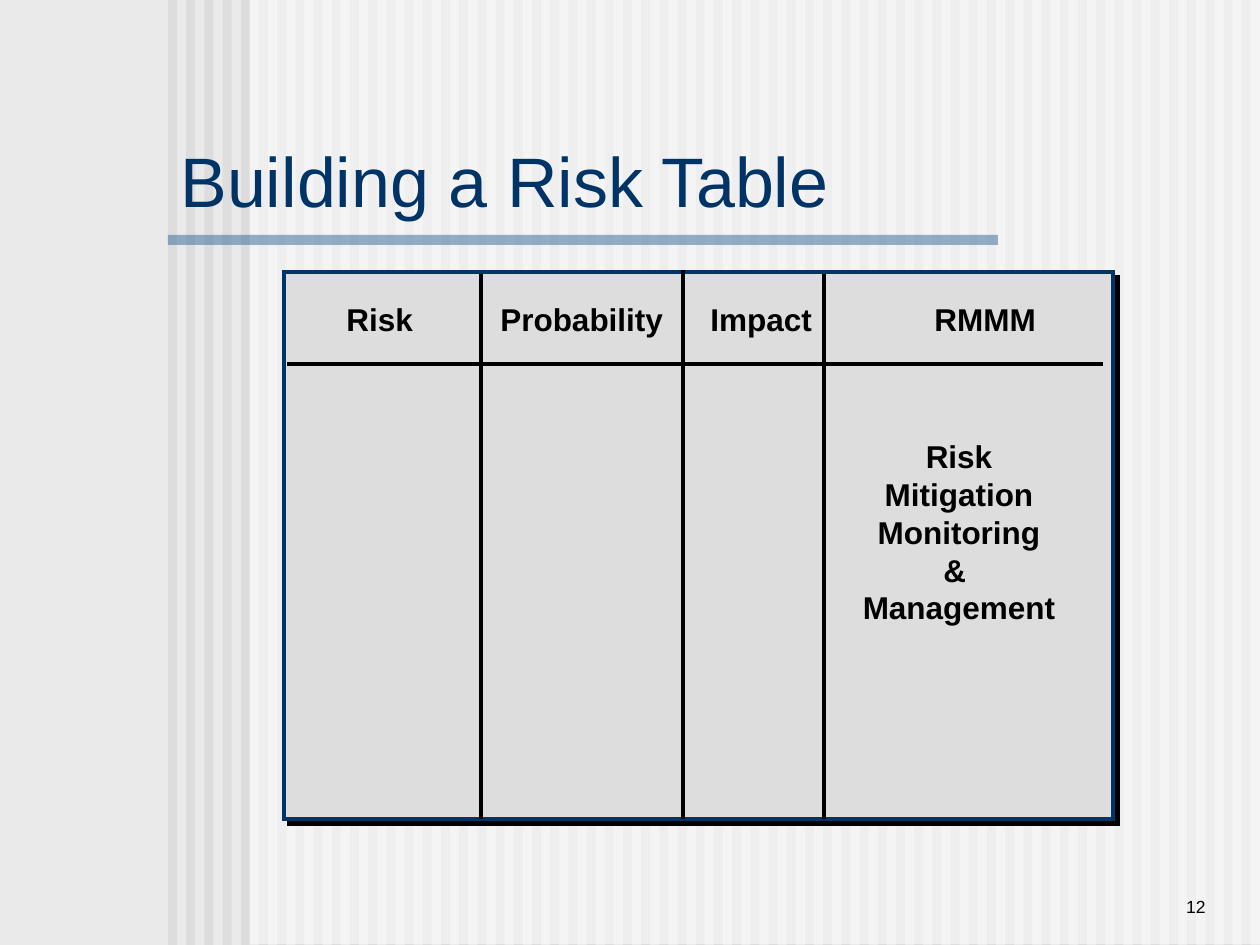
from lxml.etree import SubElement
from pptx import Presentation
from pptx.dml.color import RGBColor
from pptx.enum.shapes import MSO_CONNECTOR, MSO_SHAPE
from pptx.enum.text import MSO_ANCHOR, PP_ALIGN
from pptx.oxml.ns import qn
from pptx.util import Emu, Pt

COLORS = {
    "background": "EAEAEA",
    "gray": "DDDDDD",
    "white": "FFFFFF",
    "blue": "336699",
    "navy": "003366",
    "black": "000000",
}
SCALE = 914400 / 126


def add_rectangle(box, color, opacity=100):
    shape = slide.shapes.add_shape(MSO_SHAPE.RECTANGLE, *[Emu(round(value * SCALE)) for value in box])
    shape.shadow.inherit = False
    shape.line.fill.background()
    shape.fill.solid()
    shape.fill.fore_color.rgb = RGBColor.from_string(COLORS[color])
    if opacity < 100:
        color_element = shape.fill._xPr.find(qn("a:solidFill"))[0]
        SubElement(color_element, qn("a:alpha"), val=str(opacity * 1000))
    return shape


def add_text(box, text, size, color="black", bold=False, wrap=False,
             align=PP_ALIGN.LEFT, anchor=MSO_ANCHOR.TOP):
    shape = slide.shapes.add_textbox(*[Emu(round(value * SCALE)) for value in box])
    text_frame = shape.text_frame
    text_frame.text = text
    text_frame.word_wrap = wrap
    text_frame.vertical_anchor = anchor
    for paragraph in text_frame.paragraphs:
        paragraph.alignment = align
        paragraph.line_spacing = Pt(size * 1.2)
        font = paragraph.runs[0].font
        font.name = "Arial"
        font.size = Pt(size)
        font.bold = bold
        font.color.rgb = RGBColor.from_string(COLORS[color])


presentation = Presentation()
presentation.slide_width = Emu(round(1260 * SCALE))
presentation.slide_height = Emu(round(945 * SCALE))
slide = presentation.slides.add_slide(presentation.slide_layouts[6])
slide.background.fill.solid()
slide.background.fill.fore_color.rgb = RGBColor.from_string(COLORS["background"])

for stripe in range(60):
    add_rectangle((168 + stripe * 18.2, 0, 9, 945), "gray")
add_rectangle((250, 0, 1010, 944), "white", 50)
add_rectangle((168, 235, 830, 10), "blue", 50)
add_text((168, 136, 726, 87), "Building a Risk Table", 40, "navy", wrap=True, anchor=MSO_ANCHOR.MIDDLE)

risk_panel = add_rectangle((284, 272, 829, 547), "gray")
risk_panel.line.color.rgb = RGBColor.from_string(COLORS["navy"])
risk_panel.line.width = Pt(2)
SubElement(risk_panel.line._get_or_add_ln(), qn("a:miter"), lim="800000")
effects = risk_panel._element.spPr.find(qn("a:effectLst"))
shadow = SubElement(effects, qn("a:outerShdw"), dist=str(Pt(4.2)), dir="2700000", algn="ctr", rotWithShape="0")
SubElement(shadow, qn("a:srgbClr"), val=COLORS["black"])

dividers = [
    (481, 274, 481, 819),
    (683, 270, 683, 819),
    (824, 274, 824, 819),
    (287, 364, 1103, 364),
]
for ends in dividers:
    divider = slide.shapes.add_connector(MSO_CONNECTOR.STRAIGHT, *[Emu(round(value * SCALE)) for value in ends])
    divider.line.color.rgb = RGBColor.from_string(COLORS["black"])
    divider.line.width = Pt(2)
    SubElement(divider._element.spPr, qn("a:effectLst"))

headings = [("Risk", 334, 94), ("Probability", 488, 190), ("Impact", 698, 130), ("RMMM", 922, 130)]
for heading, left, width in headings:
    add_text((left, 294, width, 50), heading, 18, bold=True)
add_text((850, 431, 218, 202), "Risk\nMitigation\nMonitoring\n& \nManagement", 18, bold=True,
         align=PP_ALIGN.CENTER)
add_text((1039, 860, 179, 63), "12", 10, wrap=True, align=PP_ALIGN.RIGHT, anchor=MSO_ANCHOR.BOTTOM)

presentation.save("out.pptx")
